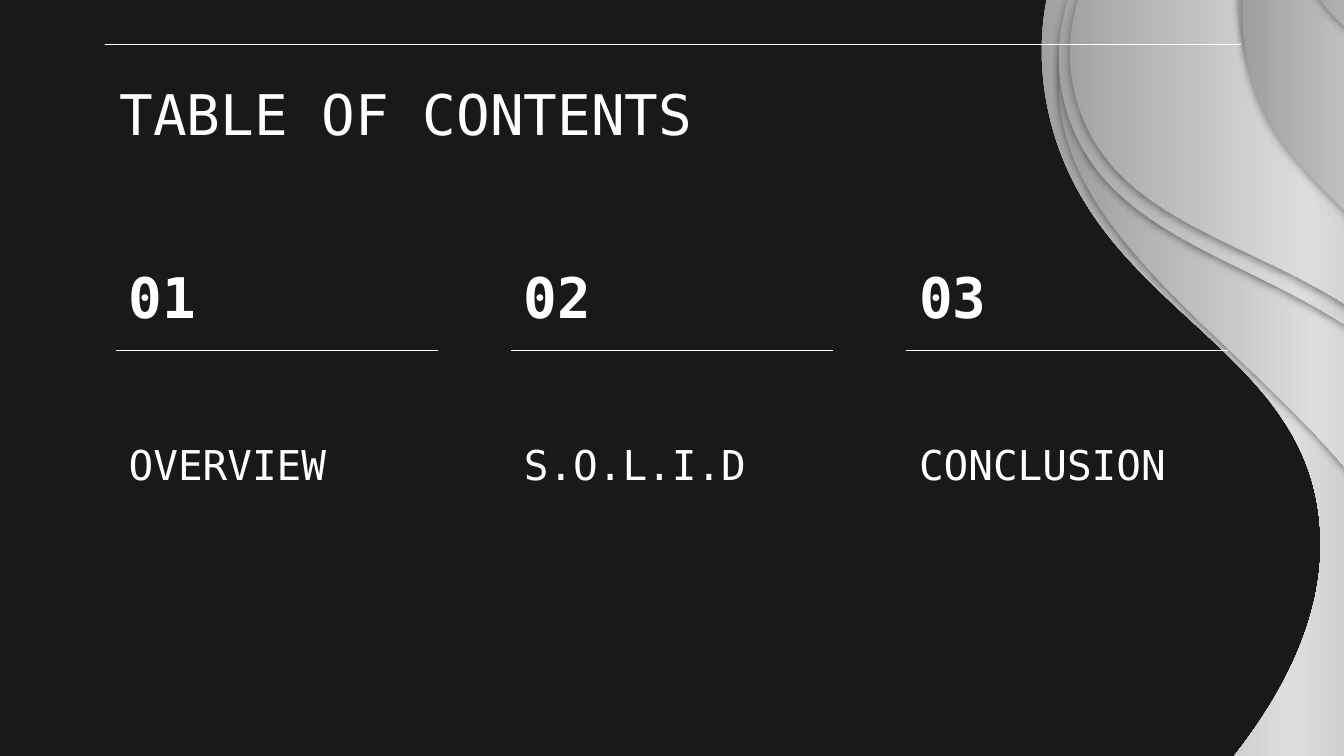
from lxml.etree import SubElement
from pptx import Presentation
from pptx.dml.color import RGBColor
from pptx.enum.shapes import MSO_CONNECTOR
from pptx.enum.text import MSO_ANCHOR
from pptx.oxml.ns import qn
from pptx.util import Inches, Pt

COLORS = {
    "background": "191919",
    "text": "FFFFFF",
    "dark": "979797",
    "light": "DDDDDD",
    "deep": "868686",
    "pale": "D1D1D1",
}
WAVE_STOPS = [(0, "dark"), (35, "light"), (72, "deep"), (100, "pale")]
FONT = "DejaVu Sans Mono"

# Slide coordinates in inches: pairs are straight edges, sixes are Bézier curves.
WAVES = [
    [(7.43, -6.95), (13.7, -6.95), (13.7, 7.2), (7.43, 7.2),
     (9.49, 5.75, 9.89, 4.65, 9.82, 3.89), (9.7, 2.52, 8.04, 2.28, 7.78, 0.72),
     (7.52, -0.9, 9.16, -1.63, 9.18, -3.5), (9.2, -4.87, 8.36, -6.04, 7.43, -6.95)],
    [(9.63, -6.95), (13.7, -6.95), (13.7, 7.2), (10, 7.2),
     (10.35, 6.78, 10.76, 6.12, 10.77, 5.3), (10.78, 3.08, 7.69, 2.22, 7.89, 0.47),
     (8.01, -0.67, 9.37, -0.74, 10.34, -3.06), (10.64, -3.76, 10.72, -4.24, 10.69, -4.7),
     (10.62, -5.83, 9.95, -6.63, 9.63, -6.95)],
    [(13.7, 7.2), (13.7, -6.95), (8.64, -6.95),
     (9.17, -6.27, 9.75, -5.27, 9.74, -4.06), (9.73, -1.72, 7.49, -0.66, 7.94, 0.83),
     (8.33, 2.1, 10.16, 1.9, 10.9, 3.38), (11.52, 4.62, 10.96, 6.14, 10.42, 7.2)],
    [(13.7, 7.2), (13.7, -6.95), (8.71, -6.95),
     (9.29, -6.25, 9.9, -5.23, 9.88, -4.02), (9.85, -1.74, 7.58, -0.67, 8.02, 0.77),
     (8.39, 1.97, 10.11, 1.76, 10.9, 3.17), (11.6, 4.42, 11.08, 6.04, 10.52, 7.23)],
    [(10.21, -6.95), (13.7, -6.95), (13.7, 7.2), (11.55, 7.22),
     (11.99, 6.08, 12.44, 4.4, 11.7, 2.97), (10.94, 1.5, 9.56, 1.57, 9.26, 0.33),
     (8.87, -1.29, 11.01, -2.3, 10.96, -4.64), (10.94, -5.65, 10.53, -6.46, 10.21, -6.95)],
    [(13.7, 7.2), (13.7, -6.95), (10.94, -6.95),
     (11.29, -6.38, 11.69, -5.49, 11.62, -4.5), (11.45, -2.22, 9.06, -1.42, 9.26, 0.33),
     (9.39, 1.41, 10.34, 1.49, 11.02, 2.93), (11.74, 4.44, 11.5, 6.06, 11.18, 7.2)],
    [(11.89, -6.96), (13.7, -6.95), (13.7, 7.2), (11.89, 7.2),
     (11.75, 6.72, 11.61, 6.01, 11.68, 5.17), (11.8, 3.43, 12.66, 2.92, 12.42, 2),
     (12.06, 0.62, 9.9, 0.79, 9.68, -0.34), (9.47, -1.49, 11.61, -2.14, 12.13, -4.26),
     (12.39, -5.32, 12.14, -6.3, 11.89, -6.96)],
]


def rgb(name):
    return RGBColor.from_string(COLORS[name])


def apply(target, values):
    for attribute, value in values.items():
        setattr(target, attribute, value)


def add_color(parent, name, **modifiers):
    color = SubElement(parent, qn("a:srgbClr"), val=COLORS[name])
    for tag, value in modifiers.items():
        SubElement(color, qn(f"a:{tag}"), val=str(value))


class ContentsSlide:
    """Holds the slide and the style its elements share."""

    frame_style = dict.fromkeys(
        ("margin_left", "margin_top", "margin_right", "margin_bottom"), Inches(0.1)
    ) | {"word_wrap": True}

    def __init__(self, slide):
        self.slide = slide
        slide.background.fill.solid()
        slide.background.fill.fore_color.rgb = rgb("background")

    def wave(self, segments):
        """Draw a shaded outline, laid out sideways and turned by 270 degrees."""
        points = [
            (Inches(-segment[i + 1]), Inches(segment[i]))
            for segment in segments
            for i in range(0, len(segment), 2)
        ]
        builder = self.slide.shapes.build_freeform(*points[0])
        builder.add_line_segments(points[1:], close=True)
        shape = builder.convert_to_shape()
        center_x = shape.top + shape.height // 2
        center_y = -shape.left - shape.width // 2
        apply(shape, {
            "left": center_x - shape.width // 2,
            "top": center_y - shape.height // 2,
            "rotation": 270,
        })
        self.bend(shape, segments)
        self.shade(shape)

    def bend(self, shape, segments):
        """Join each three straight steps of a curved segment into one curve."""
        steps = iter(list(shape._element.iter(qn("a:lnTo"))))
        for segment in segments[1:]:
            step = next(steps)
            if len(segment) == 6:
                curve = step.makeelement(qn("a:cubicBezTo"))
                step.addprevious(curve)
                for control in (step, next(steps), next(steps)):
                    curve.append(control[0])
                    control.getparent().remove(control)

    def shade(self, shape):
        shape.fill.gradient()
        shape.fill.gradient_angle = 270
        stops = next(shape._element.iter(qn("a:gsLst")))
        for stop in list(stops):
            stops.remove(stop)
        for position, color in WAVE_STOPS:
            add_color(SubElement(stops, qn("a:gs"), pos=str(position * 1000)), color)
        shape.line.fill.background()
        shape.shadow.inherit = False
        effects = next(shape._element.iter(qn("a:effectLst")))
        shadow = SubElement(
            effects, qn("a:outerShdw"), blurRad=str(Pt(4.5)), dist=str(Pt(1.5)),
            dir="5400000", algn="bl", rotWithShape="0",
        )
        add_color(shadow, "background", alpha=50000)

    def rule(self, left, top, width):
        connector = self.slide.shapes.add_connector(
            MSO_CONNECTOR.STRAIGHT,
            Inches(left), Inches(top), Inches(left + width), Inches(top),
        )
        connector.line.width = Pt(0.75)
        connector.line.color.rgb = rgb("text")
        SubElement(connector._element.spPr, qn("a:effectLst"))

    def text(self, wording, box, size, anchor=MSO_ANCHOR.TOP, bold=False):
        frame = self.slide.shapes.add_textbox(*map(Inches, box)).text_frame
        apply(frame, self.frame_style | {"vertical_anchor": anchor})
        run = frame.paragraphs[0].add_run()
        run.text = wording
        apply(run.font, {"name": FONT, "size": Pt(size), "bold": bold})
        run.font.color.rgb = rgb("text")


def main():
    deck = Presentation()
    apply(deck, {"slide_width": Inches(10), "slide_height": Inches(5.625)})
    contents = ContentsSlide(deck.slides.add_slide(deck.slide_layouts[6]))

    for wave in WAVES:
        contents.wave(wave)
    contents.rule(0.78, 0.33, 8.45)
    contents.text("TABLE OF CONTENTS", (0.79, 0.49, 8.43, 0.63), 30)

    for index, topic in enumerate(["OVERVIEW", "S.O.L.I.D", "CONCLUSION"]):
        left = 0.86 + 2.94 * index
        contents.text(f"{index + 1:02}", (left, 1.88, 1.39, 0.65), 30,
                      MSO_ANCHOR.MIDDLE, bold=True)
        contents.rule(left, 2.61, 2.4)
        contents.text(topic, (left, 3.11, 2.4, 0.63), 22, MSO_ANCHOR.BOTTOM)

    deck.save("out.pptx")


if __name__ == "__main__":
    main()
